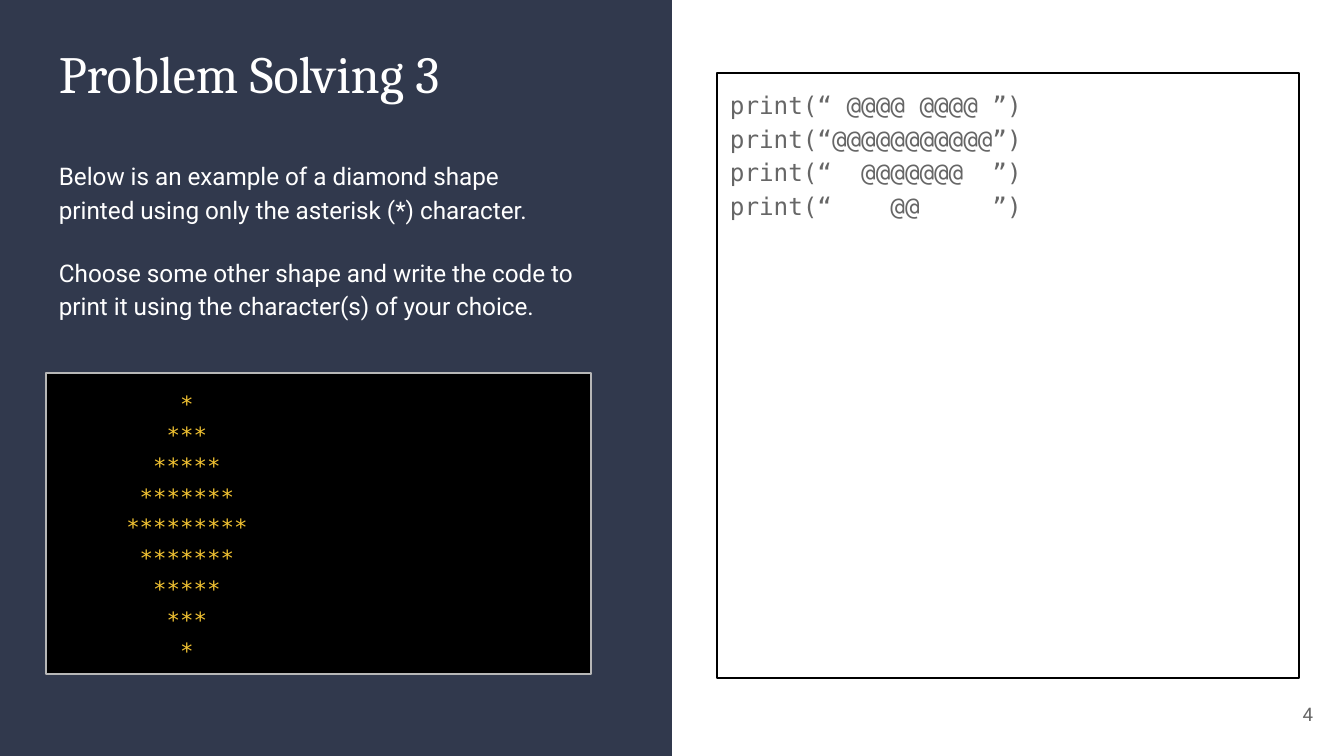
from pptx import Presentation
from pptx.dml.color import RGBColor
from pptx.enum.shapes import MSO_SHAPE
from pptx.enum.text import MSO_ANCHOR, PP_ALIGN
from pptx.util import Emu, Pt

RECT = MSO_SHAPE.RECTANGLE
TOP, MIDDLE = MSO_ANCHOR.TOP, MSO_ANCHOR.MIDDLE
LEFT, RIGHT = PP_ALIGN.LEFT, PP_ALIGN.RIGHT

WIDTH, HEIGHT = 1344, 756
INSET = 13
SERIF, SANS, MONO = "Cambria", "Roboto", "DejaVu Sans Mono"
COLORS = {
    "navy": "31394D",
    "white": "FFFFFF",
    "black": "000000",
    "gray": "666666",
    "border": "B7B7B7",
    "gold": "F1C232",
}

INSTRUCTIONS = [
    "Below is an example of a diamond shape printed using only the asterisk (*) character.",
    "Choose some other shape and write the code to print it using the character(s) of your choice.",
]
CODE_LINES = [
    "print(“ @@@@ @@@@ ”)",
    "print(“@@@@@@@@@@@”)",
    "print(“  @@@@@@@  ”)",
    "print(“    @@     ”)",
]


def px(n):
    return Emu(round(n * 914400 / 134.4))


def color(name):
    return RGBColor.from_string(COLORS[name])


def add_rect(s, box, fill=None, line=None):
    sp = s.shapes.add_shape(RECT, *map(px, box))
    sp.shadow.inherit = False
    if fill:
        sp.fill.solid()
        sp.fill.fore_color.rgb = color(fill)
    else:
        sp.fill.background()
    if line:
        sp.line.color.rgb = color(line)
        sp.line.width = Pt(0.75)
    else:
        sp.line.fill.background()
    return sp


def add_label(s, box):
    return s.shapes.add_textbox(*map(px, box))


def write(sp, paragraphs, font, size, ink, spacing=1.0, gap=0, align=LEFT, anchor=TOP):
    """Fill a shape with paragraphs, each given as a list of lines."""
    tf = sp.text_frame
    tf.word_wrap = True
    tf.vertical_anchor = anchor
    tf.margin_left = tf.margin_right = tf.margin_top = tf.margin_bottom = px(INSET)
    for i, lines in enumerate(paragraphs):
        p = tf.paragraphs[0] if i == 0 else tf.add_paragraph()
        p.alignment = align
        p.line_spacing = spacing
        p.space_before = Pt(gap if i else 0)
        for j, line in enumerate(lines):
            if j:
                p.add_line_break()
            r = p.add_run()
            r.text = line
            r.font.name = font
            r.font.size = Pt(size)
            r.font.color.rgb = color(ink)


def diamond(widest):
    """Return the rows of an asterisk diamond, one paragraph each."""
    rising = list(range(1, widest + 1, 2))
    return [[" " * (widest - n // 2) + "*" * n] for n in rising + rising[-2::-1]]


def add_problem_panel(s, box):
    x, y, w, h = box
    add_rect(s, box, fill="navy")
    left, width = x + 46, w - 127
    title = add_label(s, (left, y + 28, width, 100))
    write(title, [["Problem Solving 3"]], SERIF, 28, "white")
    body = add_label(s, (left, y + 144, width, 191))
    write(body, [[text] for text in INSTRUCTIONS], SANS, 13, "white", 1.15, gap=16)
    console = add_rect(s, (left, y + 373, width, 301), "black", "border")
    write(console, diamond(9), MONO, 12, "gold", 1.15)


def add_answer_panel(s, box):
    x, y, w, h = box
    code = add_rect(s, (x + 45, y + 73, w - 90, h - 151), line="black")
    write(code, [CODE_LINES], MONO, 13, "gray", 1.15)
    number = add_label(s, (x + w - 98, y + h - 71, 80, 58))
    write(number, [["4"]], SANS, 10, "gray", align=RIGHT, anchor=MIDDLE)


def main():
    prs = Presentation()
    prs.slide_width, prs.slide_height = px(WIDTH), px(HEIGHT)
    s = prs.slides.add_slide(prs.slide_layouts[6])
    s.background.fill.solid()
    s.background.fill.fore_color.rgb = color("white")
    half = WIDTH // 2
    add_problem_panel(s, (0, 0, half, HEIGHT))
    add_answer_panel(s, (half, 0, half, HEIGHT))
    prs.save("out.pptx")


if __name__ == "__main__":
    main()
